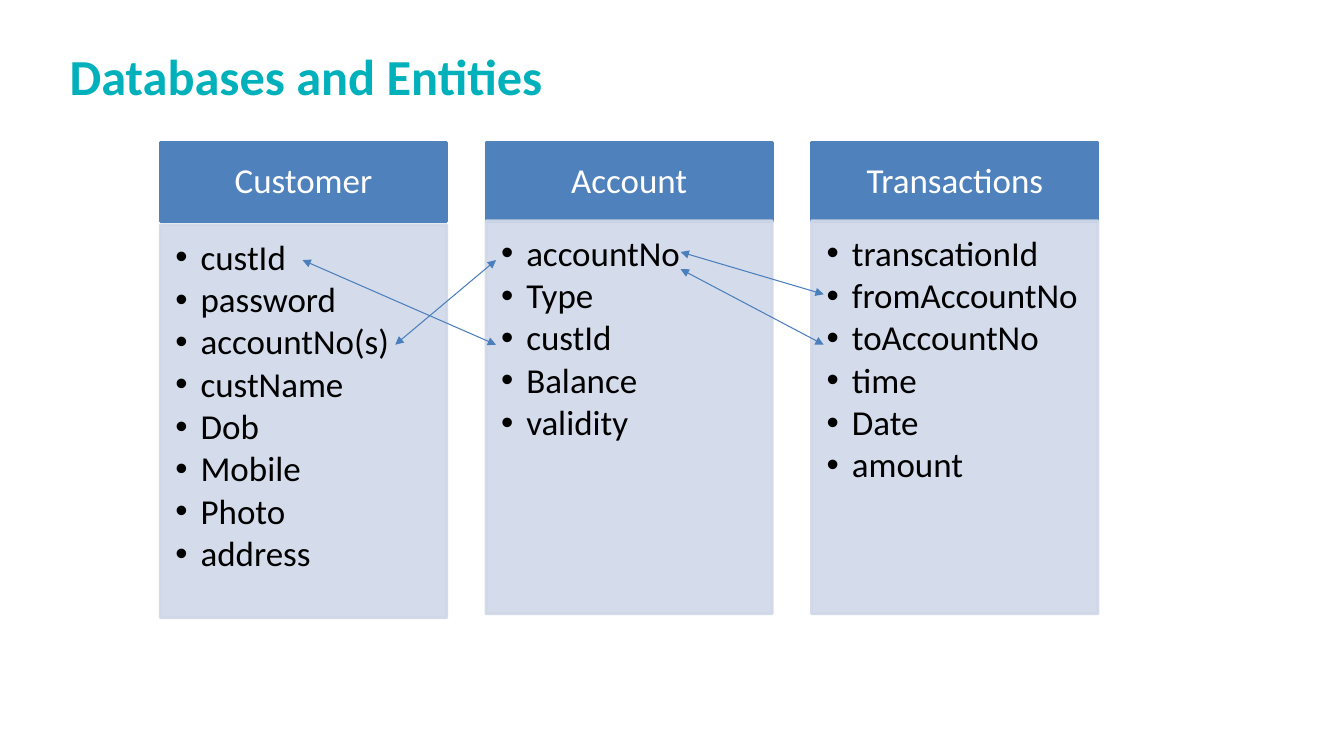
from lxml.etree import SubElement
from pptx import Presentation
from pptx.dml.color import RGBColor
from pptx.enum.shapes import MSO_CONNECTOR as Connector, MSO_SHAPE as Shape
from pptx.enum.text import MSO_ANCHOR as Anchor, PP_ALIGN as Align
from pptx.oxml.ns import qn
from pptx.util import Emu, Pt

EMU_PER_PX = 9144  # 100 px to the inch


def px(length):
    return Emu(length * EMU_PER_PX)


def rgb(hex_code):
    return RGBColor.from_string(hex_code)


class EntitySlide:
    font = "Calibri"
    title_color = "00B0BA"
    header_color = "4F81BD"
    body_color = "D0D8E8"
    link_color = "4B7EBC"
    body_alpha = 90
    text_size = 25

    def __init__(self, deck):
        self.slide = deck.slides.add_slide(deck.slide_layouts[6])

    def set_text(self, frame, lines, size, color, insets, bold=False):
        frame.word_wrap = True
        (frame.margin_left, frame.margin_top,
         frame.margin_right, frame.margin_bottom) = map(px, insets)
        frame.text = "\n".join(lines)
        for paragraph in frame.paragraphs:
            for run in paragraph.runs:
                run.font.name = self.font
                run.font.size = Pt(size)
                run.font.bold = bold
                run.font.color.rgb = rgb(color)

    def title(self, text, left, top, width, height):
        heading = self.slide.shapes.add_textbox(*map(px, (left, top, width, height)))
        self.set_text(heading.text_frame, [text], 36, self.title_color, (0, 0, 0, 0), bold=True)

    def box(self, color, left, top, width, height):
        panel = self.slide.shapes.add_shape(Shape.RECTANGLE, *map(px, (left, top, width, height)))
        panel.shadow.inherit = False
        panel.fill.solid()
        panel.fill.fore_color.rgb = rgb(color)
        panel.line.color.rgb = rgb(color)
        panel.line.width = Pt(2)
        return panel

    def header(self, name, left, top, width, height):
        banner = self.box(self.header_color, left, top, width, height)
        frame = banner.text_frame
        self.set_text(frame, [name], self.text_size, "FFFFFF", (19, 11, 19, 11))
        frame.vertical_anchor = Anchor.MIDDLE
        frame.paragraphs[0].alignment = Align.CENTER
        frame.paragraphs[0].line_spacing = 0.9

    def fields(self, names, left, top, width, height):
        body = self.box(self.body_color, left, top, width, height)
        for color in body._element.spPr.iter(qn("a:srgbClr")):
            SubElement(color, qn("a:alpha"), val=str(self.body_alpha * 1000))
        frame = body.text_frame
        self.set_text(frame, names, self.text_size, "000000", (15, 15, 19, 22))
        frame.vertical_anchor = Anchor.TOP
        for paragraph in frame.paragraphs:
            paragraph.alignment = Align.LEFT
            paragraph.line_spacing = 0.9
            paragraph.space_after = Pt(3.25)
            properties = paragraph._p.get_or_add_pPr()
            properties.set("marL", str(px(25)))
            properties.set("indent", str(px(-25)))
            SubElement(properties, qn("a:buFont"), typeface="Arial")
            SubElement(properties, qn("a:buChar"), char="•")

    def link(self, start, end):
        arrow = self.slide.shapes.add_connector(Connector.STRAIGHT, *map(px, start + end))
        arrow.line.color.rgb = rgb(self.link_color)
        arrow.line.width = Pt(0.75)
        outline = arrow.line._get_or_add_ln()
        for tip in ("a:headEnd", "a:tailEnd"):
            SubElement(outline, qn(tip), type="triangle")
        SubElement(arrow._element.spPr, qn("a:effectLst"))


def main():
    deck = Presentation()
    deck.slide_width, deck.slide_height = px(1333), px(750)
    page = EntitySlide(deck)
    page.title("Databases and Entities", 69, 45, 711, 61)

    # Entities: name, top of the field list, fields
    entities = [
        ("Customer", 223, ["custId", "password", "accountNo(s)", "custName",
                           "Dob", "Mobile", "Photo", "address"]),
        ("Account", 219, ["accountNo", "Type", "custId", "Balance", "validity"]),
        ("Transactions", 219, ["transcationId", "fromAccountNo", "toAccountNo",
                               "time", "Date", "amount"]),
    ]
    first_left, pitch, width = 159, 323, 284
    for column, (name, body_top, names) in enumerate(entities):
        left = first_left + column * pitch
        page.header(name, left, 141, width, 79)
        page.fields(names, left, body_top, width, 390)

    # Links between matching keys
    links = [
        ((392, 342), (492, 258)),
        ((675, 250), (817, 292)),
        ((675, 267), (817, 342)),
        ((300, 258), (492, 342)),
    ]
    for start, end in links:
        page.link(start, end)

    deck.save("out.pptx")


if __name__ == "__main__":
    main()
